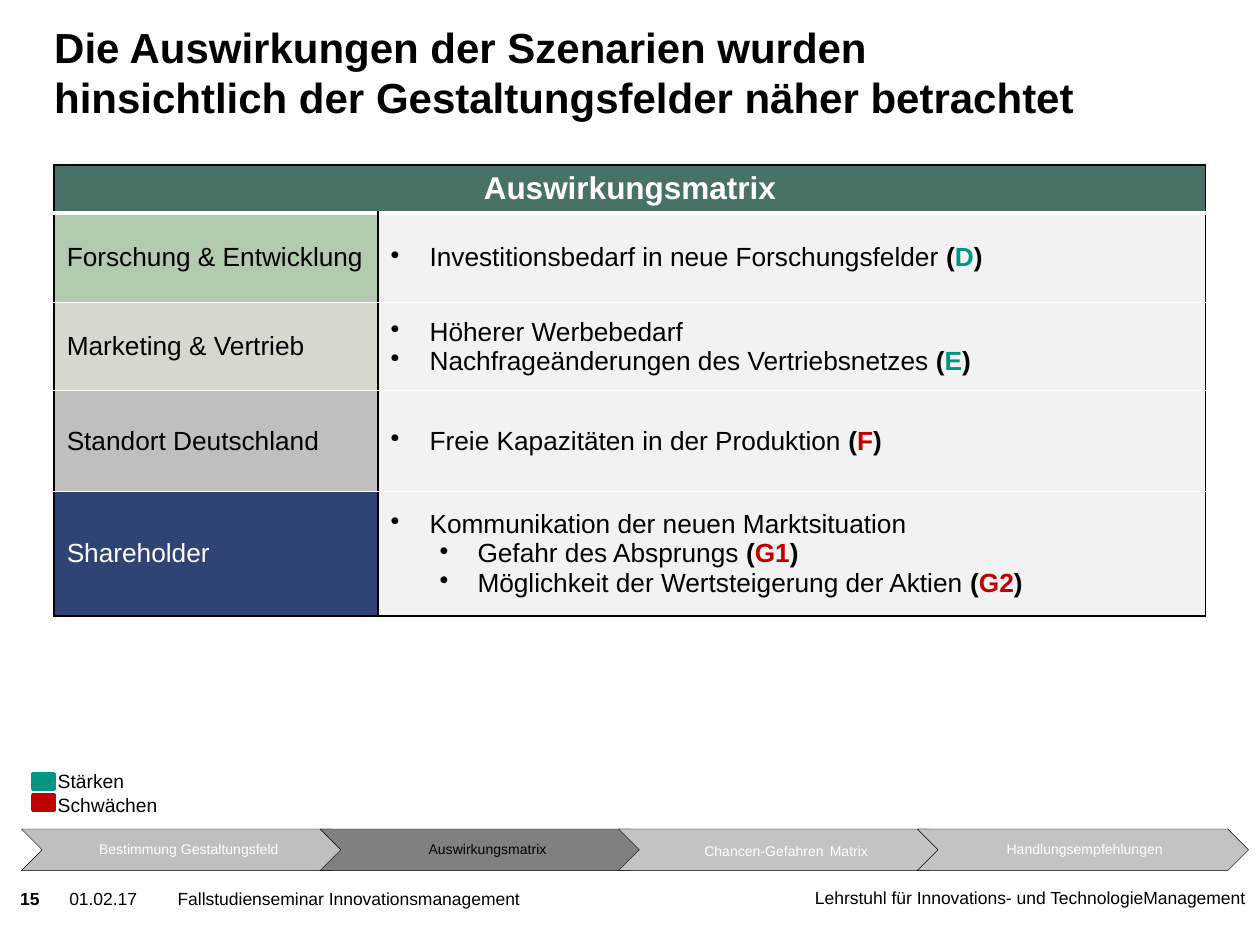
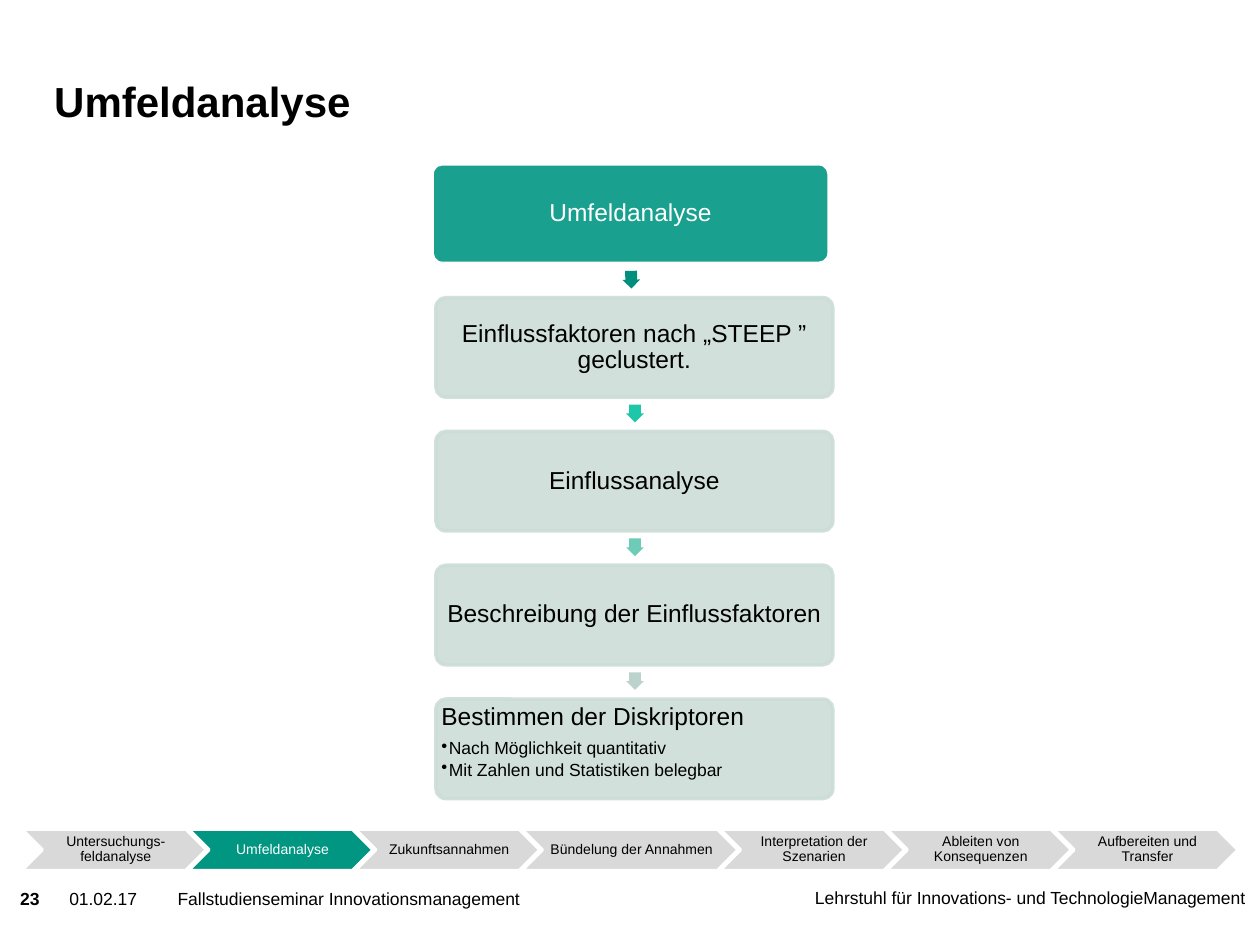
"""Build two slides of an innovation seminar: an impact matrix and a process flow."""
from lxml import etree
from pptx import Presentation
from pptx.dml.color import RGBColor
from pptx.enum.shapes import MSO_SHAPE
from pptx.enum.text import MSO_ANCHOR, MSO_AUTO_SIZE, PP_ALIGN
from pptx.oxml.ns import qn
from pptx.util import Inches, Pt

LEFT, MID, RIGHT = PP_ALIGN.LEFT, PP_ALIGN.CENTER, PP_ALIGN.RIGHT
TOP, CENTER, BOTTOM = MSO_ANCHOR.TOP, MSO_ANCHOR.MIDDLE, MSO_ANCHOR.BOTTOM
RECT, ROUND = MSO_SHAPE.RECTANGLE, MSO_SHAPE.ROUNDED_RECTANGLE
CHEVRON, ARROW = MSO_SHAPE.CHEVRON, MSO_SHAPE.RIGHT_ARROW
FIXED = MSO_AUTO_SIZE.NONE


class Theme:
    """Colours and type sizes."""
    font = "Arial"
    black, white = "000000", "FFFFFF"
    teal, red, mint = "009682", "C00000", "CCDDD8"
    gray, dark, soft, pale = "BFBFBF", "808080", "C3C3C3", "D9D9D9"
    head, sage, sand, navy, cell = "487167", "B2CAAD", "D5D8CC", "2F4374", "F2F2F2"
    arrows = ["008F7C", "1EC7A9", "6ECBB8", "BCD3CD"]
    title, band, flow, body, key, foot, step = 24, 18, 14, 15, 11, 10, 8


deck = Presentation()
deck.slide_width, deck.slide_height = Inches(10), Inches(7.5)
COL, ROW = deck.slide_width / 100, deck.slide_height / 75


def write(frame, paras, **look):
    """Fill a text frame with (runs, format, indent) paragraphs."""
    for name, value in look.items():
        setattr(frame, name, value)
    for i, (runs, form, dent) in enumerate(paras):
        par = frame.add_paragraph() if i else frame.paragraphs[0]
        if dent:
            props = par._p.get_or_add_pPr()
            props.set("marL", str(int(dent[0] * COL)))
            props.set("indent", str(int(-dent[1] * COL)))
            etree.SubElement(props, qn("a:buChar")).set("char", "•")
        for name, value in form.items():
            setattr(par, name, value)
        for text, size, ink, bold in runs:
            run = par.add_run()
            run.text = text
            run.font.color.rgb = RGBColor.from_string(ink)
            for name, value in dict(name=Theme.font, size=Pt(size), bold=bold).items():
                setattr(run.font, name, value)


def draw(slide, kind, spot, fill, edge=None, width=0, alpha=(), adjust=()):
    """Add a shape, or a text box if kind is None, at a grid spot."""
    x, y, w, h = spot
    place = [int(v) for v in (x * COL, y * ROW, w * COL, h * ROW)]
    if kind is None:
        return slide.shapes.add_textbox(*place)
    shape = slide.shapes.add_shape(kind, *place)
    shape.shadow.inherit = False
    shape.fill.solid()
    shape.fill.fore_color.rgb = RGBColor.from_string(fill)
    if edge:
        shape.line.color.rgb = RGBColor.from_string(edge)
        shape.line.width = Pt(width)
    else:
        shape.line.fill.background()
    for i, value in enumerate(adjust):
        shape.adjustments[i] = value
    tones = shape._element.spPr.iter(qn("a:srgbClr"))
    for tone, part in zip(list(tones), alpha):
        etree.SubElement(tone, qn("a:alpha")).set("val", str(part * 1000))
    return shape


bare = dict(margin_left=0, margin_right=0, margin_top=0, margin_bottom=0,
            word_wrap=True, auto_size=FIXED)
tight = dict(bare, margin_left=Inches(0.04), margin_right=Inches(0.01),
             margin_top=Inches(0.01), margin_bottom=Inches(0.01),
             vertical_anchor=CENTER)
inner = dict(bare, **{f"margin_{side}": Inches(0.02)
                      for side in ("left", "right", "top", "bottom")})
dense = dict(alignment=MID, line_spacing=0.9)

size, white, black = Theme.step, Theme.white, Theme.black
pages = [
    dict(num="15", spot=(4.3, 3.6, 91.3, 6.1), lap=2.6, edge=black, width=0.25,
         title="Die Auswirkungen der Szenarien wurden \v"
               "hinsichtlich der Gestaltungsfelder näher betrachtet",
         steps=[("Bestimmung Gestaltungsfeld", 26.3, Theme.gray, white),
                ("Auswirkungsmatrix", 26.3, Theme.dark, black),
                ("Chancen-Gefahren| |Matrix", 26.3, Theme.soft, white),
                ("Handlungsempfehlungen", 26.3, Theme.soft, white)]),
    dict(num="23", spot=(4.3, 3.9, 75.6, 6.1), lap=1.47, edge=white, width=2,
         title="Umfeldanalyse",
         steps=[("Untersuchungs-feldanalyse", 14.7, Theme.pale, black),
                ("Umfeldanalyse", 14.7, Theme.teal, white),
                ("Zukunftsannahmen", 14.7, Theme.pale, black),
                ("Bündelung der Annahmen", 17.2, Theme.pale, black),
                ("Interpretation der Szenarien", 14.7, Theme.pale, black),
                ("Ableiten von Konsequenzen", 14.7, Theme.pale, black),
                ("Aufbereiten und Transfer", 14.7, Theme.pale, black)]),
]

for page in pages:
    slide = deck.slides.add_slide(deck.slide_layouts[5])
    title = slide.shapes.title
    x, y, w, h = page["spot"]
    place = dict(left=x * COL, top=y * ROW, width=w * COL, height=h * ROW)
    for name, value in place.items():
        setattr(title, name, int(value))
    write(title.text_frame, [([], dict(alignment=LEFT), None)],
          **dict(bare, vertical_anchor=BOTTOM))
    title.text_frame.paragraphs[0].text = page["title"]
    face = dict(name=Theme.font, size=Pt(Theme.title), bold=True)
    for name, value in face.items():
        setattr(title.text_frame.paragraphs[0].font, name, value)
    title.text_frame.paragraphs[0].font.color.rgb = RGBColor.from_string(black)

    feet = [("Lehrstuhl für Innovations- und TechnologieManagement",
             (64, 70.4, 34.8, 3.9), RIGHT, False),
            (page["num"], (1.6, 70.5, 3.6, 2.4), LEFT, True),
            ("01.02.17", (5.5, 70.5, 9.4, 3.9), LEFT, False),
            ("Fallstudienseminar Innovationsmanagement",
             (14.1, 70.5, 49.7, 3.9), LEFT, False)]
    for text, spot, side, bold in feet:
        foot = draw(slide, None, spot, None)
        runs = [(text, Theme.foot, black, bold)]
        write(foot.text_frame, [(runs, dict(alignment=side), None)], **bare)

    x = 1.7
    for text, w, fill, ink in page["steps"]:
        step = draw(slide, CHEVRON, (x, 65.8, w, 3.3), fill, page["edge"], page["width"])
        runs = [(part, 12 if part == " " else size, ink, False)
                for part in text.split("|")]
        write(step.text_frame, [(runs, dense, None)], **tight)
        x += w - page["lap"]

first, second = deck.slides

rows = [
    ("Forschung & Entwicklung", 7.1, Theme.sage, black,
     [(0, "Investitionsbedarf in neue Forschungsfelder ", "D", Theme.teal)]),
    ("Marketing & Vertrieb", 7, Theme.sand, black,
     [(0, "Höherer Werbebedarf", "", None),
      (0, "Nachfrageänderungen des Vertriebsnetzes ", "E", Theme.teal)]),
    ("Standort Deutschland", 8, Theme.gray, black,
     [(0, "Freie Kapazitäten in der Produktion ", "F", Theme.red)]),
    ("Shareholder", 9.9, Theme.navy, white,
     [(0, "Kommunikation der neuen Marktsituation", "", None),
      (1, "Gefahr des Absprungs ", "G1", Theme.red),
      (1, "Möglichkeit der Wertsteigerung der Aktien ", "G2", Theme.red)]),
]
place = [int(v) for v in (4.3 * COL, 13.1 * ROW, 91.4 * COL, 35.8 * ROW)]
table = first.shapes.add_table(len(rows) + 1, 2, *place).table
for i, w in enumerate((25.7, 65.7)):
    table.columns[i].width = int(w * COL)
for i, h in enumerate([3.8] + [row[1] for row in rows]):
    table.rows[i].height = int(h * ROW)
table.cell(0, 0).merge(table.cell(0, 1))

fills = [(Theme.head, Theme.head)] + [(row[2], Theme.cell) for row in rows]
for i, pair in enumerate(fills):
    roof = (black, 1) if i == 0 else (white, 3 if i == 1 else 1)
    base = (black, 1) if i == len(rows) else (white, 1 if i else 3)
    for j, fill in enumerate(pair):
        cell = table.cell(i, j)
        cell.vertical_anchor = CENTER if i else TOP
        props = cell._tc.get_or_add_tcPr()
        for side, (ink, wide) in zip("LRTB", [(black, 1), (black, 1), roof, base]):
            line = etree.SubElement(props, qn(f"a:ln{side}"), w=str(Pt(wide)))
            solid = etree.SubElement(line, qn("a:solidFill"))
            etree.SubElement(solid, qn("a:srgbClr"), val=ink)
        cell.fill.solid()
        cell.fill.fore_color.rgb = RGBColor.from_string(fill)

size = Theme.body
write(table.cell(0, 0).text_frame,
      [([("Auswirkungsmatrix", Theme.band, white, True)], dict(alignment=MID), None)])
for i, (name, h, fill, ink, points) in enumerate(rows, 1):
    write(table.cell(i, 0).text_frame, [([(name, size, ink, False)], {}, None)])
    paras = []
    for level, text, mark, hue in points:
        runs = [(text, size, black, False)]
        if mark:
            runs += [("(", size, black, True), (mark, size, hue, True),
                     (")", size, black, True)]
        paras.append((runs, {}, (6.9, 3) if level else (3.1, 3.1)))
    write(table.cell(i, 1).text_frame, paras)

key = draw(first, None, (3.6, 60.6, 10, 4.7), None)
write(key.text_frame, [([(text, Theme.key, black, False)], {}, None)
                       for text in ("Stärken", "Schwächen")], word_wrap=False)
for i, hue in enumerate((Theme.teal, Theme.red)):
    draw(first, RECT, (2.6, 61.4 + 1.7 * i, 1.7, 1.2), hue, hue, 2)

stages = ["Umfeldanalyse", "Einflussfaktoren nach „STEEP ” geclustert.",
          "Einflussanalyse", "Beschreibung der Einflussfaktoren",
          "Bestimmen der Diskriptoren"]
notes = ["Nach Möglichkeit quantitativ", "Mit Zahlen und Statistiken belegbar"]
for i, text in enumerate(stages):
    start, last = i == 0, i == len(stages) - 1
    x, y = 34.3 if start else 34.6, 13 + 10.62 * i
    fill, edge, ink = ((Theme.teal, white, white) if start
                       else (Theme.mint, Theme.mint, black))
    stage = draw(second, ROUND, (x, y, 31.5, 7.9), fill, edge, 2,
                 (90,) if start else (90, 90), (0.1,))
    form = dict(dense, alignment=LEFT, space_after=Pt(5)) if last else dense
    paras = [([(text, Theme.flow, ink, False)], form, None)]
    if last:
        form = dict(form, space_after=Pt(1.5))
        paras += [([(note, Theme.foot, black, False)], form, (0.6, 0.6))
                  for note in notes]
    write(stage.text_frame, paras,
          **dict(inner, vertical_anchor=TOP if last else CENTER))
    if not last:
        arrow = draw(second, ARROW, (x + 15.1, y + 8.5, 1.4, 1.4),
                     Theme.arrows[i], adjust=(0.67, 0.5))
        arrow.rotation = 88.4 if start else 90

deck.save("out.pptx")
